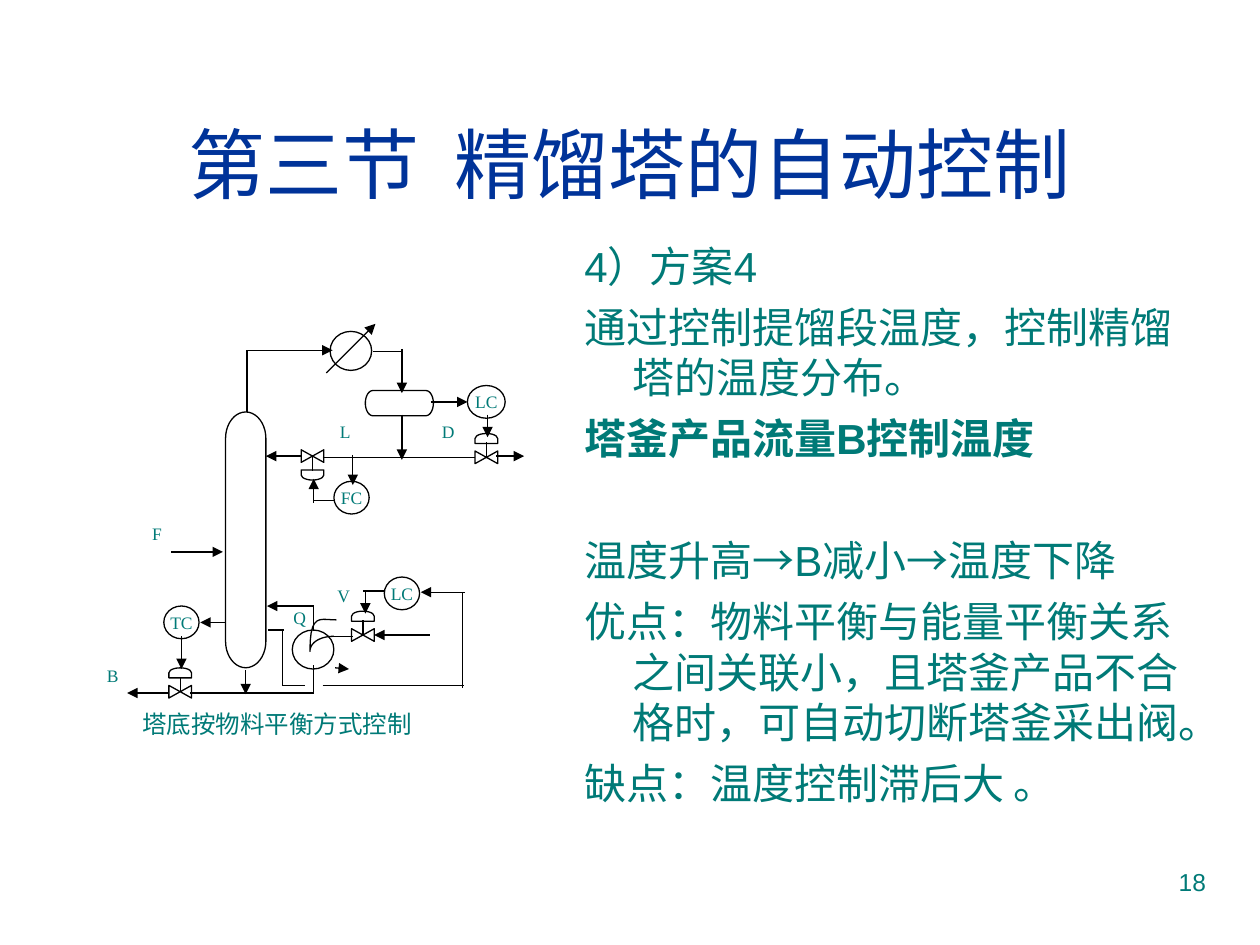
import math
from typing import NamedTuple

from lxml import etree
from pptx import Presentation
from pptx.dml.color import RGBColor
from pptx.enum.shapes import MSO_CONNECTOR, MSO_SHAPE
from pptx.enum.text import MSO_ANCHOR, PP_ALIGN
from pptx.oxml.ns import qn
from pptx.util import Inches, Pt

NAVY = RGBColor(0x00, 0x33, 0x99)
TEAL = RGBColor(0x00, 0x7A, 0x77)
BLACK = RGBColor(0x00, 0x00, 0x00)
WHITE = RGBColor(0xFF, 0xFF, 0xFF)
SANS, SERIF = "Arial", "Times New Roman"
LEFT, CENTER, RIGHT = PP_ALIGN.LEFT, PP_ALIGN.CENTER, PP_ALIGN.RIGHT
MIDDLE = MSO_ANCHOR.MIDDLE
STRAIGHT = MSO_CONNECTOR.STRAIGHT
OVAL = MSO_SHAPE.OVAL
VALVE_BODY = MSO_SHAPE.FLOWCHART_COLLATE
ACTUATOR = MSO_SHAPE.FLOWCHART_DELAY

Point = tuple[float, float]


class Circle(NamedTuple):
    left: float
    top: float
    width: float
    height: float
    tag: str = ""


class Vessel(NamedTuple):
    left: float
    top: float
    right: float
    bottom: float
    end_x: float
    end_y: float


class Valve(NamedTuple):
    x: float
    y: float
    side: int = -1  # -1 puts the actuator above the body, 1 below


class Pipe(NamedTuple):
    start: Point
    end: Point
    arrow: bool = False


class Label(NamedTuple):
    text: str
    left: float
    top: float
    width: float = 0.46
    size: int = 10


class Line(NamedTuple):
    text: str
    before: float = 6
    bold: bool = False


CIRCLES = [
    Circle(2.62, 2.63, 0.33, 0.31),
    Circle(2.32, 5.0, 0.33, 0.31),
    Circle(2.65, 3.82, 0.28, 0.26, "FC"),
    Circle(3.71, 3.06, 0.3, 0.26, "LC"),
    Circle(3.05, 4.58, 0.28, 0.26, "LC"),
    Circle(1.3, 4.81, 0.28, 0.26, "TC"),
]
VESSELS = [
    Vessel(1.79, 3.27, 2.11, 5.3, 0.16, 0.21),
    Vessel(2.9, 3.1, 3.44, 3.3, 0.06, 0.1),
]
VALVES = [Valve(3.86, 3.63), Valve(2.48, 3.62, 1), Valve(1.43, 5.49), Valve(2.88, 5.04)]
PIPES = [
    # overhead vapour, condenser and reflux drum
    Pipe((1.96, 3.27), (1.96, 2.78)),
    Pipe((1.96, 2.78), (2.64, 2.78), True),
    Pipe((2.59, 2.96), (2.98, 2.57), True),
    Pipe((2.96, 2.79), (3.19, 2.79)),
    Pipe((3.19, 2.77), (3.19, 3.12), True),
    Pipe((3.19, 3.29), (3.19, 3.65), True),
    Pipe((3.42, 3.19), (3.71, 3.19), True),
    Pipe((3.87, 3.29), (3.87, 3.47), True),
    # reflux L and distillate D
    Pipe((2.56, 3.63), (3.77, 3.63)),
    Pipe((2.39, 3.62), (2.11, 3.62), True),
    Pipe((3.94, 3.62), (4.16, 3.62), True),
    Pipe((2.8, 3.61), (2.8, 3.85), True),
    Pipe((2.66, 3.97), (2.49, 3.97)),
    Pipe((2.49, 3.99), (2.49, 3.8), True),
    # feed F
    Pipe((1.36, 4.38), (1.77, 4.38), True),
    # bottom product B and its temperature loop
    Pipe((1.95, 5.32), (1.95, 5.51), True),
    Pipe((2.49, 5.5), (1.51, 5.5)),
    Pipe((1.33, 5.5), (1.01, 5.5), True),
    Pipe((1.79, 4.94), (1.59, 4.94), True),
    Pipe((1.44, 5.05), (1.44, 5.31), True),
    # reboiler, heating steam V and level loop
    Pipe((2.49, 5.28), (2.49, 5.51)),
    Pipe((2.49, 5.01), (2.49, 4.81)),
    Pipe((2.49, 4.81), (2.12, 4.81), True),
    Pipe((2.8, 5.05), (2.61, 5.05)),
    Pipe((2.66, 5.3), (2.77, 5.31), True),
    Pipe((3.41, 5.04), (2.97, 5.04), True),
    Pipe((3.05, 4.69), (2.88, 4.69)),
    Pipe((2.9, 4.69), (2.9, 4.87), True),
    Pipe((3.69, 4.7), (3.34, 4.7), True),
    Pipe((3.67, 4.71), (3.67, 5.46)),
    Pipe((2.13, 5.0), (2.25, 5.0)),
    Pipe((2.24, 5.0), (2.24, 5.44)),
    Pipe((2.24, 5.44), (2.42, 5.44)),
    Pipe((2.56, 5.44), (3.68, 5.44)),
]
COIL = [
    ((2.65, 5.05), (2.54, 5.05), (2.46, 5.1), (2.46, 5.17)),
    ((2.46, 5.17), (2.46, 4.86), (2.54, 4.92), (2.67, 4.92)),
]
LABELS = [
    Label("F", 1.11, 4.1), Label("L", 2.6, 3.29), Label("D", 3.41, 3.29),
    Label("V", 2.58, 4.59), Label("Q", 2.23, 4.77), Label("B", 0.75, 5.23),
    Label("塔底按物料平衡方式控制", 1.03, 5.58, 2.6, 14),
]
BODY = [
    Line("4）方案4", 0),
    Line("通过控制提馏段温度，控制精馏塔的温度分布。"),
    Line("塔釜产品流量B控制温度", bold=True),
    Line("温度升高→B减小→温度下降", 41),
    Line("优点：物料平衡与能量平衡关系之间关联小，且塔釜产品不合格时，可自动切断塔釜采出阀。"),
    Line("缺点：温度控制滞后大 。"),
]


def write(paragraph, text: str, *, size: float, font: str = SANS, color: RGBColor = TEAL,
          align=LEFT, bold: bool = False, before: float = 0, hanging: float = 0) -> None:
    if hanging:
        properties = paragraph._p.get_or_add_pPr()
        properties.set("marL", str(Inches(hanging)))
        properties.set("indent", str(-Inches(hanging)))
    paragraph.alignment = align
    paragraph.space_before = Pt(before)
    run = paragraph.add_run()
    run.text = text
    run.font.size, run.font.name, run.font.bold = Pt(size), font, bold
    run.font.color.rgb = color


def add_frame(slide, left: float, top: float, width: float, height: float):
    frame = slide.shapes.add_textbox(*map(Inches, (left, top, width, height))).text_frame
    frame.word_wrap = True
    return frame


def outline(shape, filled: bool) -> None:
    shape.shadow.inherit = False
    if filled:
        shape.fill.solid()
        shape.fill.fore_color.rgb = WHITE
    else:
        shape.fill.background()
    shape.line.color.rgb = BLACK
    shape.line.width = Pt(0.75)


def add_part(slide, kind, left: float, top: float, width: float, height: float, turn: float = 0):
    part = slide.shapes.add_shape(kind, *map(Inches, (left, top, width, height)))
    part.rotation = turn
    outline(part, True)
    return part


def draw_circle(slide, circle: Circle) -> None:
    part = add_part(slide, OVAL, *circle[:4])
    if circle.tag:
        frame = part.text_frame
        frame.margin_left = frame.margin_right = frame.margin_top = frame.margin_bottom = 0
        frame.vertical_anchor, frame.word_wrap = MIDDLE, False
        write(frame.paragraphs[0], circle.tag, size=10, font=SERIF, align=CENTER)


def draw_path(slide, points: list[Point], closed: bool) -> None:
    scaled = [(Inches(x), Inches(y)) for x, y in points]
    builder = slide.shapes.build_freeform(*scaled[0])
    builder.add_line_segments(scaled[1:], close=closed)
    outline(builder.convert_to_shape(), False)


def draw_vessel(slide, vessel: Vessel) -> None:
    """Trace a box whose four corners are quarter ellipses."""
    left, right = vessel.left + vessel.end_x, vessel.right - vessel.end_x
    top, bottom = vessel.top + vessel.end_y, vessel.bottom - vessel.end_y
    corners = [(right, bottom), (left, bottom), (left, top), (right, top)]
    angles = [(x, y, math.radians(90 * i + 9 * step))
              for i, (x, y) in enumerate(corners) for step in range(11)]
    draw_path(slide, [(x + vessel.end_x * math.cos(a), y + vessel.end_y * math.sin(a))
                      for x, y, a in angles], True)


def bezier(curve: tuple[Point, ...], t: float) -> Point:
    weights = [math.comb(3, i) * (1 - t) ** (3 - i) * t ** i for i in range(4)]
    return (sum(w * x for w, (x, _) in zip(weights, curve)),
            sum(w * y for w, (_, y) in zip(weights, curve)))


def draw_pipe(slide, pipe: Pipe) -> None:
    line = slide.shapes.add_connector(STRAIGHT, *map(Inches, pipe.start + pipe.end))
    line.line.color.rgb = BLACK
    line.line.width = Pt(0.75)
    if pipe.arrow:
        etree.SubElement(line.line._get_or_add_ln(), qn("a:tailEnd"), type="triangle")
    etree.SubElement(line._element.spPr, qn("a:effectLst"))


def draw_valve(slide, valve: Valve) -> None:
    x, y, side = valve
    add_part(slide, VALVE_BODY, x - 0.05, y - 0.09, 0.1, 0.18, 90)
    add_part(slide, ACTUATOR, x - 0.04, y + 0.15 * side - 0.09, 0.08, 0.18, 180 - 90 * side if side > 0 else 270)
    draw_pipe(slide, Pipe((x, y), (x, y + 0.12 * side)))


def main() -> None:
    deck = Presentation()
    deck.slide_width, deck.slide_height = Inches(10), Inches(7.5)
    slide = deck.slides.add_slide(deck.slide_layouts[5])

    title = slide.shapes.title
    title.left, title.top, title.width, title.height = map(Inches, (0.33, 0.67, 9.34, 1.25))
    title.text_frame.vertical_anchor = MIDDLE
    write(title.text_frame.paragraphs[0], "第三节  精馏塔的自动控制", size=44, color=NAVY, align=CENTER)

    for vessel in VESSELS:
        draw_vessel(slide, vessel)
    for circle in CIRCLES:
        draw_circle(slide, circle)
    for valve in VALVES:
        draw_valve(slide, valve)
    draw_path(slide, [bezier(curve, step / 10) for curve in COIL for step in range(11)], False)
    for pipe in PIPES:
        draw_pipe(slide, pipe)
    for label in LABELS:
        frame = add_frame(slide, label.left, label.top, label.width, 0.3)
        write(frame.paragraphs[0], label.text, size=label.size, font=SERIF)

    body = add_frame(slide, 4.54, 1.86, 5.13, 4.59)
    for i, line in enumerate(BODY):
        paragraph = body.add_paragraph() if i else body.paragraphs[0]
        write(paragraph, line.text, size=24, bold=line.bold, before=line.before, hanging=0.38)

    number = add_frame(slide, 7.17, 6.83, 2.5, 0.52)
    write(number.paragraphs[0], "18", size=14, align=RIGHT)
    deck.save("out.pptx")


if __name__ == "__main__":
    main()
